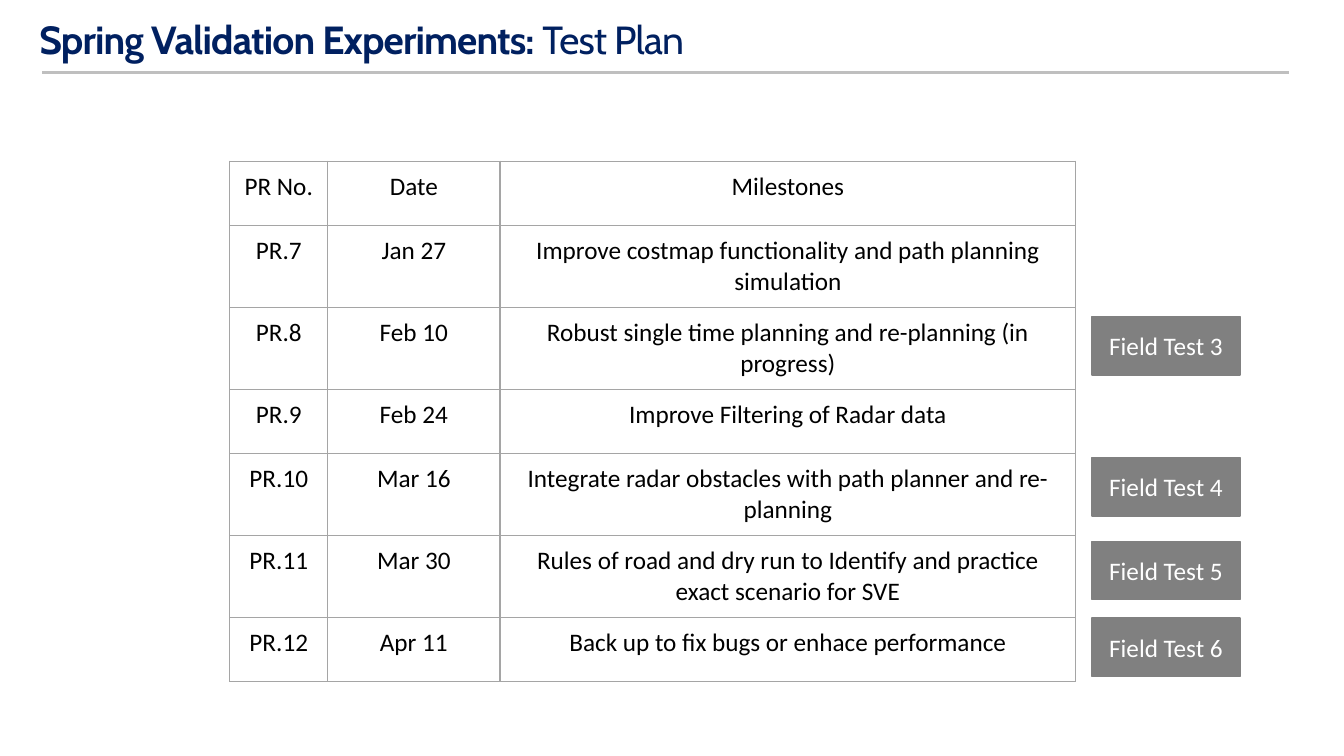
import pptx
import pptx.dml.color
import pptx.enum.shapes
import pptx.enum.text
import pptx.oxml
import pptx.oxml.ns
import pptx.util

Inches = pptx.util.Inches
Pt = pptx.util.Pt
RGBColor = pptx.dml.color.RGBColor
ALIGN = pptx.enum.text.PP_ALIGN
ANCHOR = pptx.enum.text.MSO_ANCHOR

NAVY = RGBColor(0x00, 0x20, 0x60)
RULE_GRAY = RGBColor(0xBF, 0xBF, 0xBF)
BORDER_GRAY = RGBColor(0xA5, 0xA5, 0xA5)
TAG_GRAY = RGBColor(0x80, 0x80, 0x80)
BLACK = RGBColor(0x00, 0x00, 0x00)
WHITE = RGBColor(0xFF, 0xFF, 0xFF)

MILESTONES = [
    ("PR No.", "Date", "Milestones"),
    ("PR.7", "Jan 27", "Improve costmap functionality and path planning simulation"),
    ("PR.8", "Feb 10", "Robust single time planning and re-planning (in progress)"),
    ("PR.9", "Feb 24", "Improve Filtering of Radar data"),
    ("PR.10", "Mar 16", "Integrate radar obstacles with path planner and re-planning"),
    ("PR.11", "Mar 30", "Rules of road and dry run to Identify and practice exact scenario for SVE"),
    ("PR.12", "Apr 11", "Back up to fix bugs or enhace performance"),
]
COLUMN_WIDTHS = [0.97, 1.71, 5.71]
FIELD_TESTS = {"Field Test 3": 3.14, "Field Test 4": 4.54, "Field Test 5": 5.37, "Field Test 6": 6.13}


def add_text(para, text, *, size=18, font="Calibri", color=BLACK, bold=False, spacing=None):
    """Append a formatted run to a paragraph."""
    span = para.add_run()
    span.text = text
    span.font.size = Pt(size)
    span.font.name = font
    span.font.bold = bold
    span.font.color.rgb = color
    if spacing is not None:
        span.font._element.set("spc", str(round(spacing * 100)))


def set_margins(box, left, top, right, bottom):
    """Set the four insets of a text frame or cell in inches."""
    box.margin_left, box.margin_top = Inches(left), Inches(top)
    box.margin_right, box.margin_bottom = Inches(right), Inches(bottom)


def add_borders(cell, color, width):
    """Draw a solid line on every side of a cell."""
    properties = cell._tc.get_or_add_tcPr()
    for side in ("lnL", "lnR", "lnT", "lnB"):
        properties.append(pptx.oxml.parse_xml(
            f'<a:{side} {pptx.oxml.ns.nsdecls("a")} w="{Pt(width)}">'
            f'<a:solidFill><a:srgbClr val="{color}"/></a:solidFill></a:{side}>'))


def add_heading(page, left, top, width, height):
    """Place the slide title and the rule beneath it."""
    title = page.shapes.title
    title.left, title.top = Inches(left), Inches(top)
    title.width, title.height = Inches(width), Inches(height)
    frame = title.text_frame
    frame.word_wrap = True
    frame.auto_size = pptx.enum.text.MSO_AUTO_SIZE.NONE
    frame.vertical_anchor = ANCHOR.MIDDLE
    set_margins(frame, 0.39, 0.17, 0.06, 0.06)
    para = frame.paragraphs[0]
    para.alignment = ALIGN.LEFT
    para.line_spacing = 0.9
    style = {"size": 28, "font": "Cabin", "color": NAVY, "spacing": -0.6}
    add_text(para, "Spring Validation Experiments: ", bold=True, **style)
    add_text(para, "Test Plan", **style)

    rule_top = Inches(top + height + 0.01)
    rule = page.shapes.add_connector(
        pptx.enum.shapes.MSO_CONNECTOR.STRAIGHT,
        Inches(left + 0.42), rule_top, Inches(left + width - 0.55), rule_top)
    rule.line.color.rgb = RULE_GRAY
    rule.line.width = Pt(1.75)
    rule._element.spPr.append(
        pptx.oxml.parse_xml(f'<a:effectLst {pptx.oxml.ns.nsdecls("a")}/>'))


def add_schedule(page, left, top, row_height):
    """Place the milestone table."""
    table = page.shapes.add_table(
        len(MILESTONES), len(COLUMN_WIDTHS), Inches(left), Inches(top),
        Inches(sum(COLUMN_WIDTHS)), Inches(row_height * len(MILESTONES))).table
    table.first_row = table.horz_banding = False
    for column, width in zip(table.columns, COLUMN_WIDTHS):
        column.width = Inches(width)
    for row, texts in zip(table.rows, MILESTONES):
        row.height = Inches(row_height)
        for cell, text in zip(row.cells, texts):
            set_margins(cell, 0.1, 0.1, 0.1, 0.1)
            add_borders(cell, BORDER_GRAY, 1)
            cell.fill.background()
            para = cell.text_frame.paragraphs[0]
            para.alignment = ALIGN.CENTER
            add_text(para, text)


def add_field_tests(page, left, width, height):
    """Place the field test tags beside their milestones."""
    for text, top in FIELD_TESTS.items():
        tag = page.shapes.add_shape(
            pptx.enum.shapes.MSO_SHAPE.RECTANGLE,
            Inches(left), Inches(top), Inches(width), Inches(height))
        tag.shadow.inherit = False
        tag.fill.solid()
        tag.fill.fore_color.rgb = TAG_GRAY
        tag.line.color.rgb = TAG_GRAY
        tag.line.width = Pt(1)
        tag.text_frame.vertical_anchor = ANCHOR.MIDDLE
        para = tag.text_frame.paragraphs[0]
        para.alignment = ALIGN.CENTER
        add_text(para, text, color=WHITE)


def main():
    """Build the test plan slide."""
    deck = pptx.Presentation()
    deck.slide_width, deck.slide_height = Inches(13.33), Inches(7.5)
    page = deck.slides.add_slide(deck.slide_layouts.get_by_name("Title Only"))
    add_heading(page, 0, 0, 13.33, 0.71)
    add_schedule(page, 2.28, 1.6, 0.64)
    add_field_tests(page, 10.83, 1.47, 0.58)
    deck.save("out.pptx")


if __name__ == "__main__":
    main()
